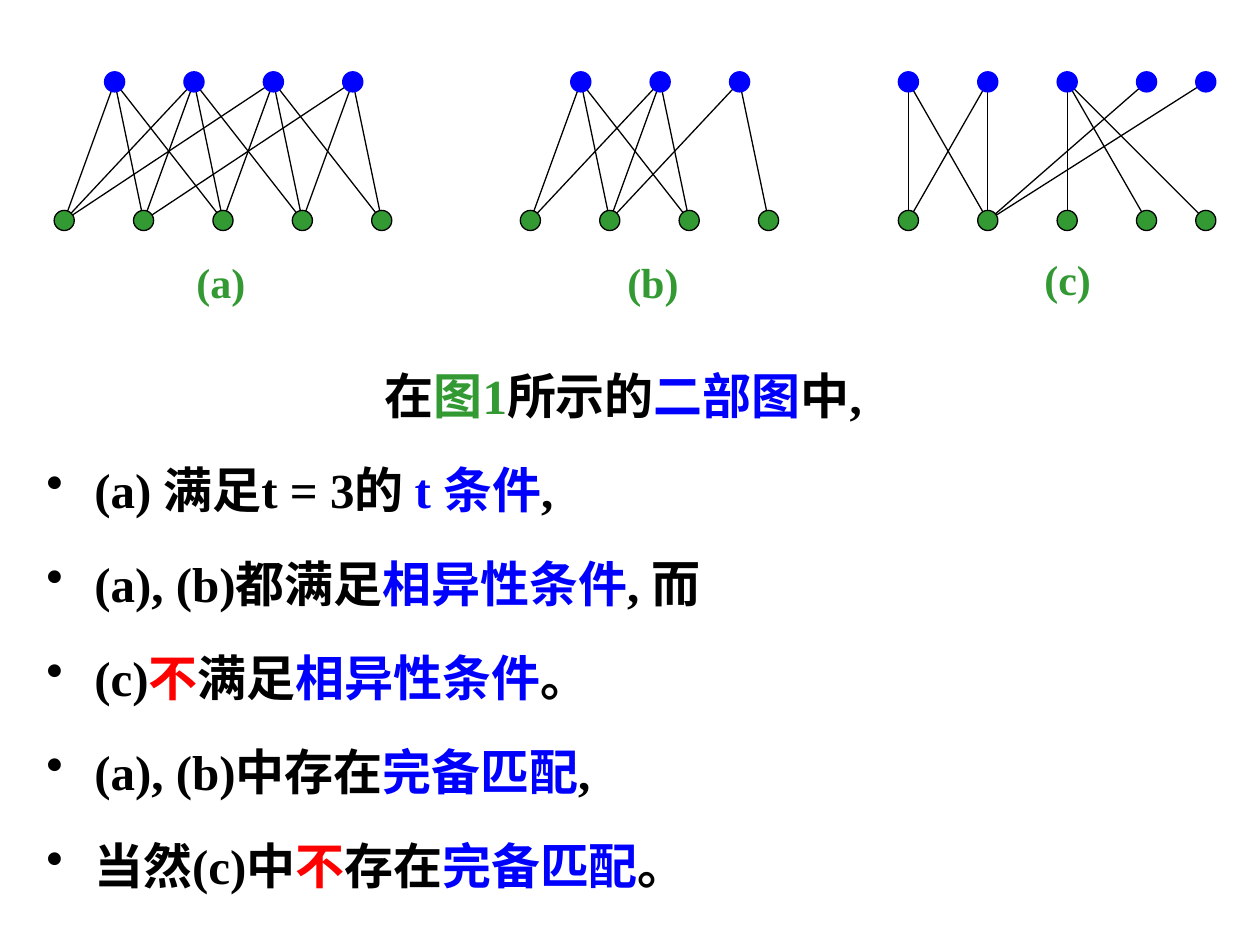
from lxml import etree
from pptx import Presentation
from pptx.dml.color import RGBColor
from pptx.enum.shapes import MSO_CONNECTOR, MSO_SHAPE
from pptx.enum.text import MSO_AUTO_SIZE, PP_ALIGN
from pptx.oxml.ns import qn
from pptx.util import Inches, Pt

STRAIGHT = MSO_CONNECTOR.STRAIGHT
OVAL = MSO_SHAPE.OVAL
CENTER = PP_ALIGN.CENTER
FIT_SHAPE = MSO_AUTO_SIZE.SHAPE_TO_FIT_TEXT

BLACK = RGBColor(0x00, 0x00, 0x00)
BLUE = RGBColor(0x00, 0x00, 0xFF)
GREEN = RGBColor(0x33, 0x99, 0x33)
RED = RGBColor(0xFF, 0x00, 0x00)

FONT = "Times New Roman"
TOP_Y, BOTTOM_Y = 0.65, 1.75
NODE = 0.16
STEP = 0.63
INDENT = 0.38


def row(start, count):
    """Centres of equally spaced nodes."""
    return [start + i * STEP for i in range(count)]


C_ROW = row(7.21, 4) + [9.57]

# Each edge list gives, per upper node, the lower nodes it joins
GRAPHS = [
    {"upper": row(0.91, 4), "lower": row(0.51, 5),
     "edges": [(0, 1, 2), (0, 1, 2, 3), (0, 2, 3, 4), (1, 3, 4)],
     "label": ("(a)", 1.46, 1.99, 0.59)},
    {"upper": row(4.61, 3), "lower": row(4.21, 4),
     "edges": [(0, 1, 2), (0, 1, 2), (1, 3)],
     "label": ("(b)", 4.88, 1.99, 0.61)},
    {"upper": C_ROW, "lower": C_ROW,
     "edges": [(0, 1), (0, 1), (2, 3, 4), (1,), (1,)],
     "label": ("(c)", 8.19, 1.96, 0.57)},
]

INTRO = [("在", BLACK), ("图1", GREEN), ("所示的", BLACK),
         ("二部图", BLUE), ("中, ", BLACK)]
POINTS = [
    [("(a) 满足t = 3的 ", BLACK), ("t 条件", BLUE), (",", BLACK)],
    [("(a), (b)都满足", BLACK), ("相异性条件", BLUE), (", 而", BLACK)],
    [("(c)", BLACK), ("不", RED), ("满足", BLACK),
     ("相异性条件", BLUE), ("。", BLACK)],
    [("(a), (b)中存在", BLACK), ("完备匹配", BLUE), (",", BLACK)],
    [("当然(c)中", BLACK), ("不", RED), ("存在", BLACK),
     ("完备匹配", BLUE), ("。", BLACK)],
]


def add_run(p, text, color, size):
    r = p.add_run()
    r.text = text
    for name, value in {"name": FONT, "size": Pt(size), "bold": True}.items():
        setattr(r.font, name, value)
    r.font.color.rgb = color


def add_edge(s, x1, x2):
    line = s.shapes.add_connector(STRAIGHT, Inches(x1), Inches(TOP_Y),
                                  Inches(x2), Inches(BOTTOM_Y))
    line.line.color.rgb = BLACK
    line.line.width = Pt(0.75)
    etree.SubElement(line._element.spPr, qn("a:effectLst"))


def add_node(s, x, y, fill, outline):
    sp = s.shapes.add_shape(OVAL, Inches(x - NODE / 2), Inches(y - NODE / 2),
                            Inches(NODE), Inches(NODE))
    sp.shadow.inherit = False
    sp.fill.solid()
    sp.fill.fore_color.rgb = fill
    sp.line.color.rgb = outline
    sp.line.width = Pt(0.75)


def add_label(s, text, x, y, width):
    tf = s.shapes.add_textbox(Inches(x), Inches(y),
                              Inches(width), Inches(0.5)).text_frame
    tf.word_wrap = False
    tf.auto_size = FIT_SHAPE
    add_run(tf.paragraphs[0], text, GREEN, 24)


def add_graph(s, graph):
    for x, targets in zip(graph["upper"], graph["edges"]):
        for i in targets:
            add_edge(s, x, graph["lower"][i])
    for x in graph["upper"]:
        add_node(s, x, TOP_Y, BLUE, BLUE)
    for x in graph["lower"]:
        add_node(s, x, BOTTOM_Y, GREEN, BLACK)
    add_label(s, *graph["label"])


def format_paragraph(p, runs):
    p.line_spacing = 1.6
    pPr = p._p.get_or_add_pPr()
    pPr.set("marL", str(Inches(INDENT)))
    pPr.set("indent", str(-Inches(INDENT)))
    for text, color in runs:
        add_run(p, text, color, 28)
    return pPr


def add_bullet(pPr):
    color = etree.SubElement(pPr, qn("a:buClr"))
    etree.SubElement(color, qn("a:srgbClr"), val=str(BLACK))
    etree.SubElement(pPr, qn("a:buChar"), char="•")


def add_body(s):
    tf = s.shapes.add_textbox(Inches(0.27), Inches(2.57),
                              Inches(9.45), Inches(4.77)).text_frame
    tf.word_wrap = True
    p = tf.paragraphs[0]
    p.alignment = CENTER
    format_paragraph(p, INTRO)
    for runs in POINTS:
        add_bullet(format_paragraph(tf.add_paragraph(), runs))


def main():
    prs = Presentation()
    prs.slide_width, prs.slide_height = Inches(10), Inches(7.5)
    s = prs.slides.add_slide(prs.slide_layouts[6])

    # Statements below the graphs
    add_body(s)

    # Bipartite graphs (a), (b) and (c)
    for graph in GRAPHS:
        add_graph(s, graph)

    prs.save("out.pptx")


if __name__ == "__main__":
    main()
